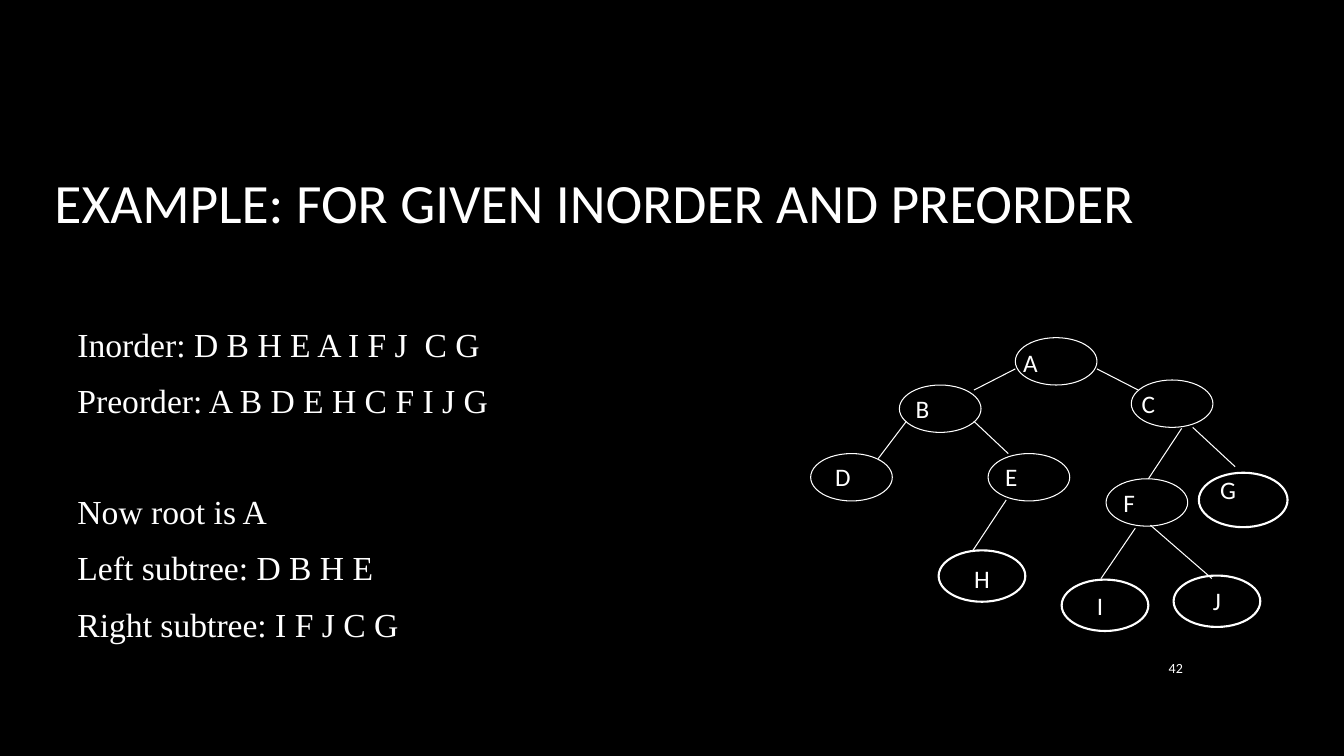
from pptx import Presentation
from pptx.dml.color import RGBColor
from pptx.enum.shapes import MSO_CONNECTOR, MSO_SHAPE
from pptx.enum.text import MSO_ANCHOR, PP_ALIGN
from pptx.oxml.ns import qn
from pptx.util import Inches, Pt
from lxml import etree

OVAL = MSO_SHAPE.OVAL
LINE = MSO_CONNECTOR.STRAIGHT
MIDDLE, BOTTOM = MSO_ANCHOR.MIDDLE, MSO_ANCHOR.BOTTOM
LEFT, CENTER, RIGHT = PP_ALIGN.LEFT, PP_ALIGN.CENTER, PP_ALIGN.RIGHT
WHITE, BLACK = "FFFFFF", "000000"
SMALL = (0.81, 0.47, 0.75)
LARGE = (0.86, 0.51, 1.5)
WIDE = (0.88, 0.54, 1.5)

NODES = [
    ("A", 10.07, 3.35, SMALL, 10.22, 3.6),
    ("B", 8.92, 3.82, SMALL, 9.15, 4.05),
    ("C", 11.22, 3.77, SMALL, 11.39, 4),
    ("D", 8.04, 4.5, SMALL, 8.36, 4.73),
    ("E", 9.8, 4.5, SMALL, 10.03, 4.73),
    ("F", 10.97, 4.75, SMALL, 11.2, 4.98),
    ("G", 11.89, 4.69, WIDE, 12.18, 4.86),
    ("H", 9.31, 5.46, LARGE, 9.74, 5.74),
    ("I", 10.53, 5.75, LARGE, 10.91, 6.01),
    ("J", 11.64, 5.71, LARGE, 12.07, 5.96),
]
EDGES = [
    (10.07, 3.66, 9.66, 3.87),
    (10.88, 3.66, 11.29, 3.87),
    (8.99, 4.18, 8.71, 4.55),
    (9.66, 4.18, 10, 4.5),
    (11.72, 4.25, 11.39, 4.75),
    (11.83, 4.24, 12.25, 4.63),
    (9.98, 4.96, 9.65, 5.46),
    (11.26, 5.24, 10.92, 5.74),
    (11.41, 5.21, 12.02, 5.74),
]
ORDERS = [
    ("Inorder: D B H E A I F J  C G", 10),
    ("Preorder: A B D E H C F I J G", 49),
    ("Now root is A", 10),
    ("Left subtree: D B H E", 10),
    ("Right subtree: I F J C G", 10),
]


def color(code):
    """Turn a hex string into a colour."""
    return RGBColor.from_string(code)


def style(para, size, font="Calibri", align=LEFT):
    """Set the font and alignment of a paragraph."""
    para.font.size = Pt(size)
    para.font.name = font
    para.font.color.rgb = color(WHITE)
    para.alignment = align


def add_title(slide, text):
    """Place and fill the title."""
    title = slide.shapes.title
    title.left, title.top = Inches(0.44), Inches(1.08)
    title.width, title.height = Inches(12.67), Inches(1.25)
    frame = title.text_frame
    frame.text = text
    frame.vertical_anchor = BOTTOM
    frame.margin_bottom = 0
    style(frame.paragraphs[0], 39.6)


def add_box(slide, left, top, width, height):
    """Add a wrapping text box and return its frame."""
    box = slide.shapes.add_textbox(
        Inches(left), Inches(top), Inches(width), Inches(height))
    frame = box.text_frame
    frame.word_wrap = True
    frame.vertical_anchor = MIDDLE
    return frame


def add_label(slide, text, box, size, align):
    """Add a one-line text."""
    para = add_box(slide, *box).paragraphs[0]
    para.text = text
    style(para, size, align=align)


def add_list(slide, rows):
    """Add the lines on traversal order and subtrees."""
    frame = add_box(slide, 0.67, 2.58, 12, 4.42)
    for i, (text, gap) in enumerate(rows):
        para = frame.add_paragraph() if i else frame.paragraphs[0]
        para.text = text
        para.line_spacing = 1.05
        para.space_after = Pt(gap)
        style(para, 24, "Times New Roman")


def add_node(slide, name, left, top, kind, mid_x, mid_y):
    """Add a tree node with its letter."""
    width, height, weight = kind
    oval = slide.shapes.add_shape(
        OVAL, Inches(left), Inches(top), Inches(width), Inches(height))
    oval.shadow.inherit = False
    oval.fill.background()
    oval.line.color.rgb = color(WHITE)
    oval.line.width = Pt(weight)
    add_label(slide, name, (mid_x - 0.2, mid_y - 0.2, 0.4, 0.4), 18, CENTER)


def add_edge(slide, *ends):
    """Add a line between two nodes."""
    edge = slide.shapes.add_connector(LINE, *map(Inches, ends))
    edge.line.color.rgb = color(WHITE)
    edge.line.width = Pt(0.75)
    etree.SubElement(edge._element.spPr, qn("a:effectLst"))


def main():
    """Build the slide and save it."""
    deck = Presentation()
    deck.slide_width, deck.slide_height = Inches(13.33), Inches(7.5)
    slide = deck.slides.add_slide(deck.slide_layouts[5])
    slide.background.fill.solid()
    slide.background.fill.fore_color.rgb = color(BLACK)
    add_title(slide, "EXAMPLE: FOR GIVEN INORDER AND PREORDER")
    add_list(slide, ORDERS)
    add_label(slide, "42", (11.23, 6.42, 0.6, 0.41), 10, RIGHT)
    for edge in EDGES:
        add_edge(slide, *edge)
    for node in NODES:
        add_node(slide, *node)
    deck.save("out.pptx")


if __name__ == "__main__":
    main()
